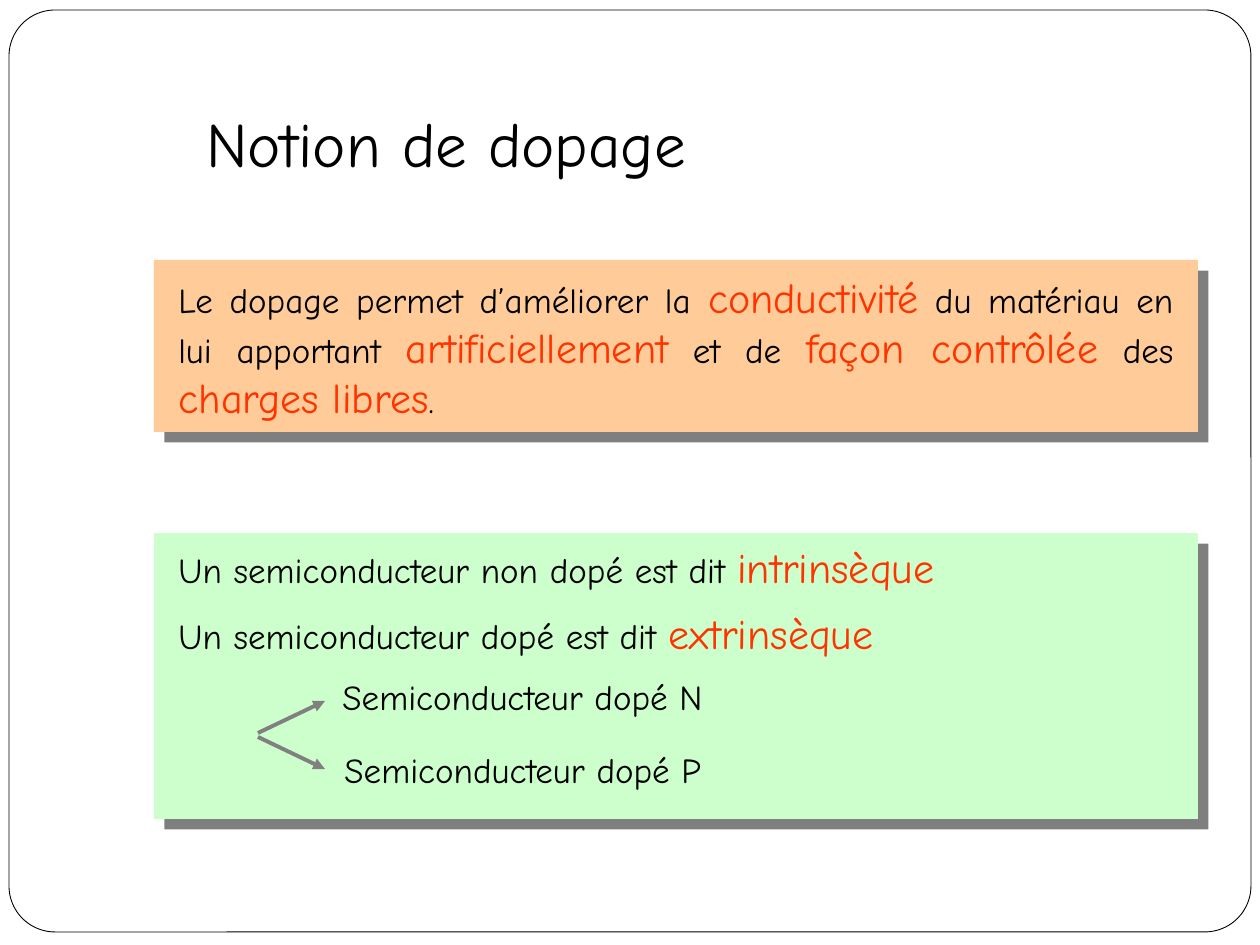
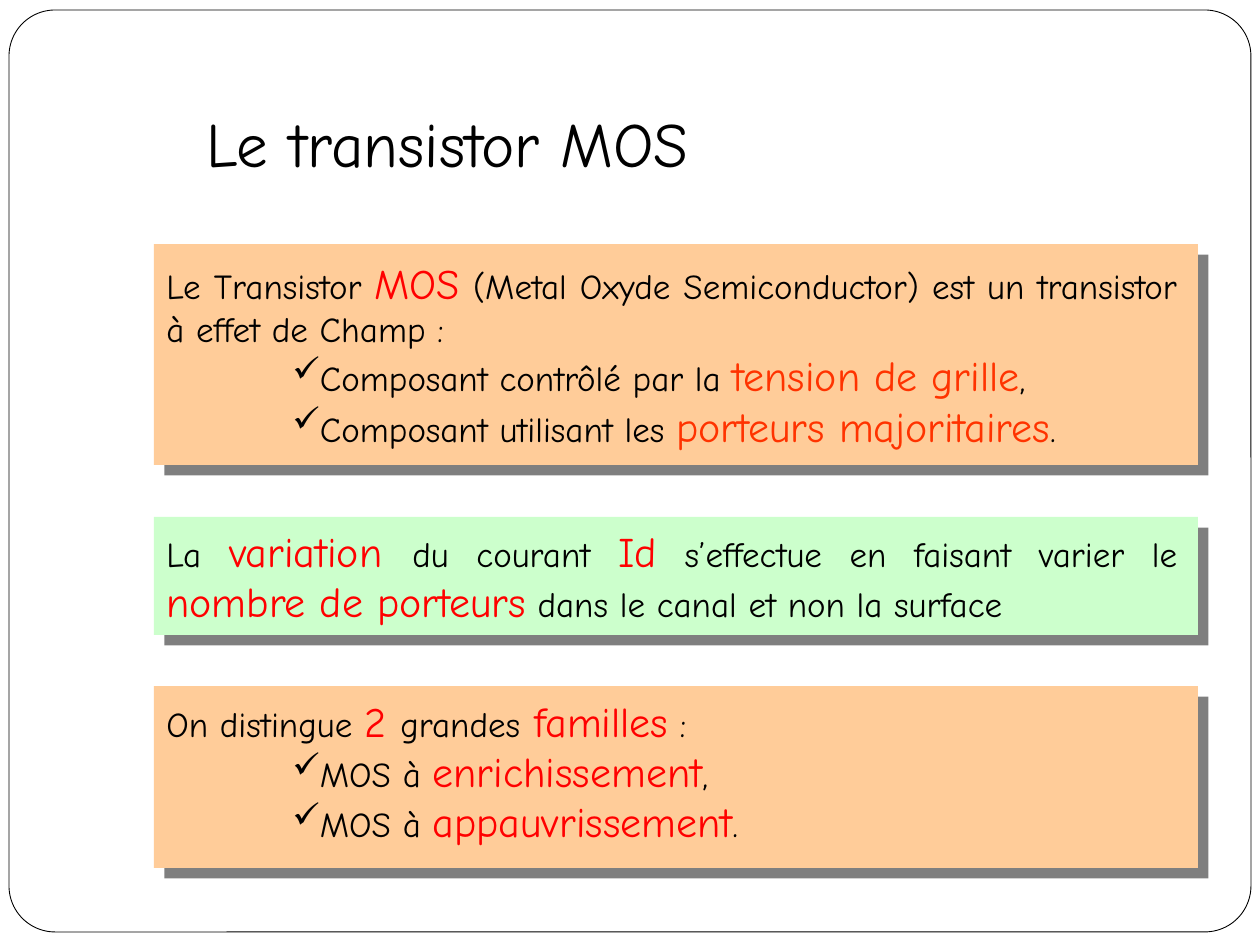
import lxml.etree
import pptx
import pptx.dml.color
import pptx.enum.shapes
import pptx.enum.text
import pptx.oxml.ns
import pptx.util

PX = 914400 / 126
SHAPES = pptx.enum.shapes.MSO_SHAPE
ALIGN = pptx.enum.text.PP_ALIGN

BLACK, WHITE, GREY = "000000", "FFFFFF", "808080"
PEACH, MINT = "FFCC99", "CCFFCC"
ORANGE, RED = "FF3300", "FF0000"

FONT = "Comic Neue"
TITLE = {"name": FONT, "size": pptx.util.Pt(36)}
BODY = {"name": FONT, "size": pptx.util.Pt(20)}
KEYWORD = {"name": FONT, "size": pptx.util.Pt(24)}
PANEL_LEFT, PANEL_WIDTH = 154, 1044


def emu(*lengths):
    return [round(length * PX) for length in lengths]


def color(hex_code):
    return pptx.dml.color.RGBColor.from_string(hex_code)


def add_xml(parent, tag, **attributes):
    return lxml.etree.SubElement(parent, pptx.oxml.ns.qn(tag), attributes)


def set_format(target, values):
    for name, value in values.items():
        setattr(target, name, value)


class Deck:
    def __init__(self):
        self.prs = pptx.Presentation()
        self.prs.slide_width, self.prs.slide_height = emu(1260, 945)
        self.slide = None

    def new_slide(self, title):
        self.slide = self.prs.slides.add_slide(self.prs.slide_layouts[6])
        frame = self.shape(SHAPES.ROUNDED_RECTANGLE, 9, 10, 1242, 922, WHITE)
        frame.adjustments[0] = 0.05
        frame.line.color.rgb = color(BLACK)
        frame.line.width = pptx.util.Pt(0.5)
        self.text(194, 98, 536, 88, [(title,)], base=TITLE)

    def shape(self, preset, left, top, width, height, fill):
        shape = self.slide.shapes.add_shape(preset, *emu(left, top, width, height))
        shape.shadow.inherit = False
        shape.fill.solid()
        shape.fill.fore_color.rgb = color(fill)
        shape.line.fill.background()
        return shape

    def panel(self, top, height, fill):
        """Coloured box with a hard shadow to the lower right."""
        panel = self.shape(SHAPES.RECTANGLE, PANEL_LEFT, top, PANEL_WIDTH, height, fill)
        effects = panel._element.spPr.find(pptx.oxml.ns.qn("a:effectLst"))
        shadow = add_xml(effects, "a:outerShdw", dist="107950", dir="2700000",
                         algn="ctr", rotWithShape="0")
        add_xml(add_xml(shadow, "a:srgbClr", val=BLACK), "a:alpha", val="50000")

    def text(self, left, top, width, height, paragraphs, base=BODY, justified=False):
        """Each paragraph is (text, keyword colour, checked); *stars* mark keywords."""
        box = self.slide.shapes.add_textbox(*emu(left, top, width, height))
        set_format(box.text_frame, {
            "word_wrap": justified,
            "auto_size": pptx.enum.text.MSO_AUTO_SIZE.SHAPE_TO_FIT_TEXT,
        })
        for index, (words, accent, checked) in enumerate(
                (*item, ORANGE, False)[:3] if len(item) < 3 else item
                for item in paragraphs):
            paragraph = (box.text_frame.add_paragraph() if index
                         else box.text_frame.paragraphs[0])
            paragraph.alignment = ALIGN.JUSTIFY if justified else ALIGN.LEFT
            if checked:
                self.check_mark(paragraph)
            for part, piece in enumerate(words.split("*")):
                if piece:
                    run = paragraph.add_run()
                    run.text = piece
                    set_format(run.font, KEYWORD if part % 2 else base)
                    run.font.color.rgb = color(accent if part % 2 else BLACK)

    def check_mark(self, paragraph):
        paragraph.level = 2
        properties = paragraph._p.get_or_add_pPr()
        properties.set("marL", str(emu(126)[0]))
        properties.set("indent", "0")
        add_xml(properties, "a:buChar", char="✓")

    def arrow(self, x1, y1, x2, y2):
        arrow = self.slide.shapes.add_connector(
            pptx.enum.shapes.MSO_CONNECTOR.STRAIGHT, *emu(x1, y1, x2, y2))
        arrow.line.color.rgb = color(GREY)
        arrow.line.width = pptx.util.Pt(2.25)
        properties = arrow._element.spPr
        add_xml(properties.find(pptx.oxml.ns.qn("a:ln")), "a:tailEnd", type="triangle")
        add_xml(properties, "a:effectLst")


def doping_slide(deck):
    deck.new_slide("Notion de dopage")
    deck.panel(533, 286, MINT)
    deck.panel(260, 172, PEACH)
    deck.text(166, 265, 1020, 164, [(
        "Le dopage permet d’améliorer la *conductivité* du matériau en lui apportant "
        "*artificiellement* et de *façon contrôlée* des *charges libres*.",)],
        justified=True)
    for top, width, definition in (
            (535, 837, "Un semiconducteur non dopé est dit *intrinsèque*"),
            (601, 785, "Un semiconducteur dopé est dit *extrinsèque*")):
        deck.text(166, top, width, 63, [(definition,)])
    for start, end, left, top, kind in ((733, 701, 330, 669, "N"),
                                        (737, 769, 332, 742, "P")):
        deck.arrow(258, start, 325, end)
        deck.text(left, top, 410, 54, [(f"Semiconducteur dopé {kind}",)])


def transistor_slide(deck):
    deck.new_slide("Le transistor MOS")
    for top, height, fill, text_top, text_height, paragraphs in (
            (244, 221, PEACH, 251, 205, [
                ("Le Transistor *MOS* (Metal Oxyde Semiconductor) est un transistor "
                 "à effet de Champ :", RED, False),
                ("Composant contrôlé par la *tension de grille*,", ORANGE, True),
                ("Composant utilisant les *porteurs majoritaires*.", ORANGE, True)]),
            (517, 118, MINT, 519, 113, [
                ("La *variation *du courant *Id* s’effectue en faisant varier le "
                 "*nombre de porteurs* dans le canal et non la surface", RED, False)]),
            (686, 182, PEACH, 689, 164, [
                ("On distingue *2 *grandes* familles* :", RED, False),
                ("MOS à *enrichissement*,", RED, True),
                ("MOS à *appauvrissement*.", RED, True)])):
        deck.panel(top, height, fill)
        deck.text(PANEL_LEFT, text_top, 1036, text_height, paragraphs, justified=True)


def main():
    deck = Deck()
    doping_slide(deck)
    transistor_slide(deck)
    deck.prs.save("out.pptx")


if __name__ == "__main__":
    main()
